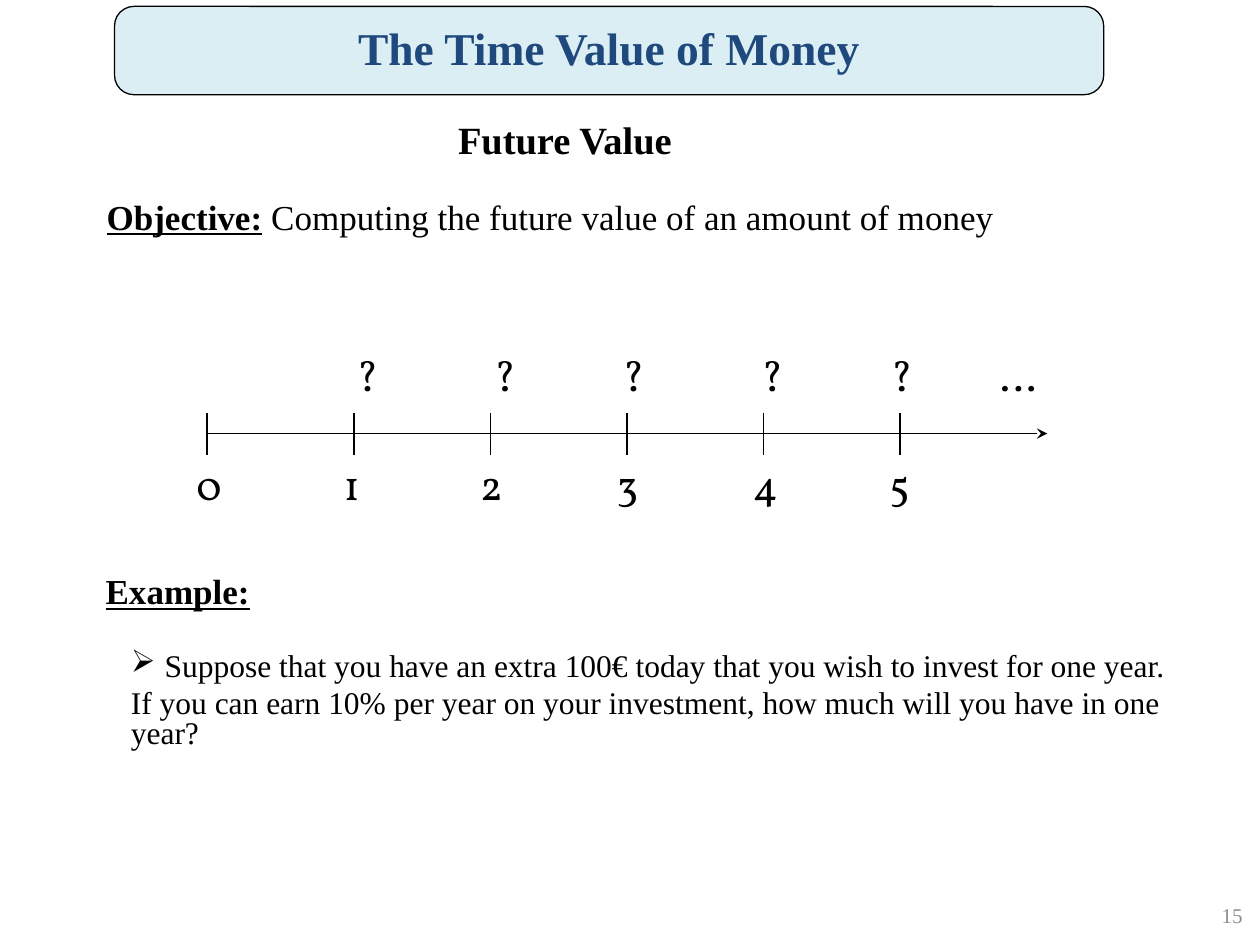
from lxml import etree
from pptx import Presentation
from pptx.dml.color import RGBColor
from pptx.enum.shapes import MSO_CONNECTOR, MSO_SHAPE
from pptx.enum.text import MSO_ANCHOR, MSO_AUTO_SIZE, PP_ALIGN
from pptx.oxml.ns import qn
from pptx.util import Cm, Pt

STRAIGHT = MSO_CONNECTOR.STRAIGHT
ROUNDED = MSO_SHAPE.ROUNDED_RECTANGLE
TOP, MIDDLE = MSO_ANCHOR.TOP, MSO_ANCHOR.MIDDLE
LEFT, CENTER, RIGHT = PP_ALIGN.LEFT, PP_ALIGN.CENTER, PP_ALIGN.RIGHT
FIT_SHAPE = MSO_AUTO_SIZE.SHAPE_TO_FIT_TEXT

SERIF, NUMERAL = "Times New Roman", "Vollkorn"
BLACK, NAVY, PALE_BLUE, GREY = "000000", "1F497D", "DBEEF4", "8C8C8C"


def color(hex_value):
    return RGBColor.from_string(hex_value)


class TimeValueSlide:
    def __init__(self, slide):
        self.slide = slide

    def style(self, run, size, font=SERIF, ink=BLACK, bold=False, underline=False):
        run.font.size = Pt(size)
        run.font.name = font
        run.font.color.rgb = color(ink)
        run.font.bold = bold
        run.font.underline = underline

    def text(self, content, left, top, width, height, size, align=LEFT,
             anchor=TOP, fit=False, **look):
        box = self.slide.shapes.add_textbox(Cm(left), Cm(top), Cm(width), Cm(height))
        frame = box.text_frame
        frame.word_wrap = not fit
        if fit:
            frame.auto_size = FIT_SHAPE
        frame.vertical_anchor = anchor
        frame.text = content
        paragraph = frame.paragraphs[0]
        paragraph.alignment = align
        self.style(paragraph.runs[0], size, **look)
        return frame

    def banner(self, content, left, top, width, height):
        panel = self.slide.shapes.add_shape(
            ROUNDED, Cm(left), Cm(top), Cm(width), Cm(height))
        panel.adjustments[0] = 0.22
        panel.shadow.inherit = False
        panel.fill.solid()
        panel.fill.fore_color.rgb = color(PALE_BLUE)
        panel.line.color.rgb = color(BLACK)
        panel.line.width = Pt(0.75)
        frame = panel.text_frame
        frame.vertical_anchor = MIDDLE
        frame.text = content
        heading = frame.paragraphs[0]
        heading.alignment = CENTER
        heading.line_spacing = 0.9
        self.style(heading.runs[0], 26, ink=NAVY, bold=True)

    def line(self, x1, y1, x2, y2, arrow=False):
        stroke = self.slide.shapes.add_connector(
            STRAIGHT, Cm(x1), Cm(y1), Cm(x2), Cm(y2))
        stroke.line.color.rgb = color(BLACK)
        stroke.line.width = Pt(1)
        if arrow:
            outline = stroke.line._get_or_add_ln()
            etree.SubElement(outline, qn("a:tailEnd"), type="stealth")
        etree.SubElement(stroke._element.spPr, qn("a:effectLst"))

    def body_line(self, frame, content, space_before, margin, hanging=0, bullet=None):
        paragraph = frame.add_paragraph()
        paragraph.text = content
        properties = paragraph._p.get_or_add_pPr()
        properties.set("marL", str(Cm(margin)))
        properties.set("indent", str(-Cm(hanging)))
        if bullet:
            etree.SubElement(properties, qn("a:buChar"), char=bullet)
        paragraph.line_spacing = 0.8
        paragraph.space_before = Pt(space_before)
        self.style(paragraph.runs[0], 18)


def main():
    deck = Presentation()
    deck.slide_width, deck.slide_height = Cm(25.4), Cm(19.05)
    page = TimeValueSlide(deck.slides.add_slide(deck.slide_layouts[6]))

    example = page.text("Example:", 1.88, 11.53, 23.11, 4.9, 20,
                        bold=True, underline=True)
    example.paragraphs[0].line_spacing = 0.8
    page.body_line(
        example,
        "Suppose that you have an extra 100€ today that you wish to invest for one year.",
        space_before=24, margin=1.19, hanging=0.68, bullet="➢")
    page.body_line(
        example,
        "If you can earn 10% per year on your investment, "
        "how much will you have in one year?",
        space_before=3.6, margin=0.51)

    page.text("Future Value", 6.6, 1.45, 9.58, 2.72, 22,
              align=CENTER, anchor=MIDDLE, bold=True)
    page.text("15", 19.38, 17.93, 5.92, 1.02, 12,
              align=RIGHT, anchor=MIDDLE, ink=GREY)

    periods = [4.17] + [7.14 + 2.75 * step for step in range(5)]
    page.line(periods[0], 8.74, 21.11, 8.74, arrow=True)
    for number, position in enumerate(periods):
        page.line(position, 8.33, position, 9.17)
        page.text(str(number), position - 0.46, 9.12, 0.94, 1.27, 24,
                  fit=True, font=NUMERAL)

    unknown_values = [6.93, 9.7, 12.29, 15.09, 17.7]
    for left in unknown_values:
        page.text("?", left, 6.93, 0.89, 1.27, 24, fit=True, font=NUMERAL)
    page.text("…", 19.91, 6.93, 1.35, 1.27, 24, fit=True, font=NUMERAL)

    page.banner("The Time Value of Money", 2.31, 0.13, 19.94, 1.78)

    objective = page.text("Objective:", 1.9, 3.81, 18.52, 1.12, 20,
                          fit=True, bold=True, underline=True)
    goal = objective.paragraphs[0].add_run()
    goal.text = " Computing the future value of an amount of money"
    page.style(goal, 20)

    deck.save("out.pptx")


if __name__ == "__main__":
    main()
